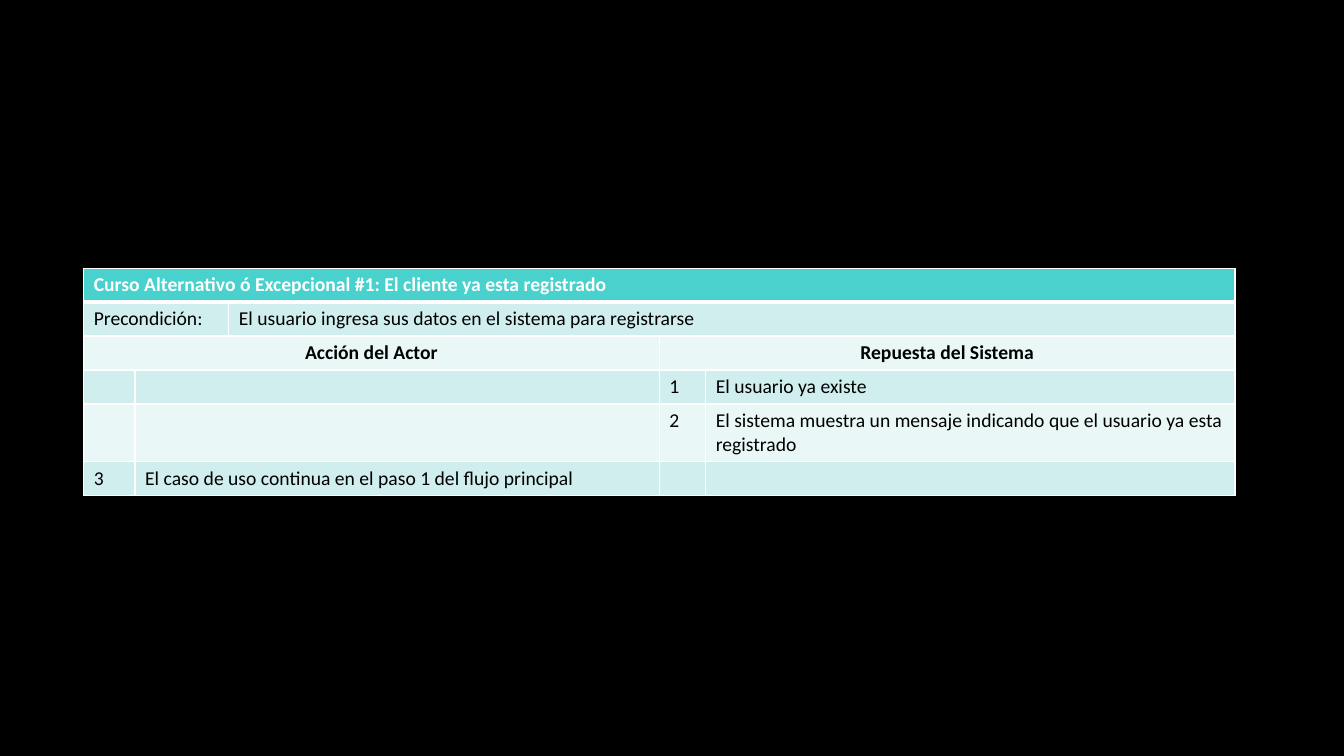
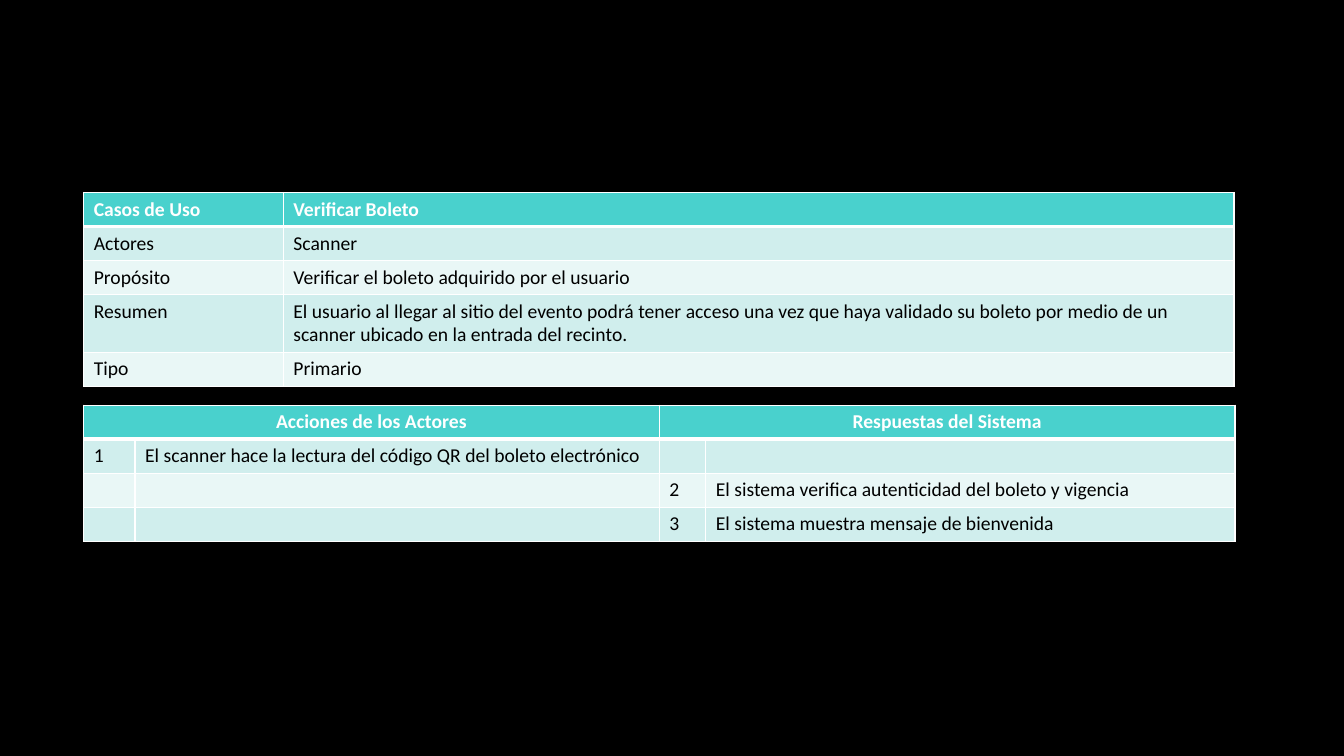
from lxml import etree
from pptx import Presentation
from pptx.dml.color import RGBColor
from pptx.enum import text
from pptx.oxml import ns
from pptx.util import Inches, Pt

# Shared style
BLACK = RGBColor(0x00, 0x00, 0x00)
WHITE = RGBColor(0xFF, 0xFF, 0xFF)
TURQUOISE = RGBColor(0x49, 0xD1, 0xCD)
BANDS = (RGBColor(0xE9, 0xF7, 0xF6), RGBColor(0xD0, 0xEE, 0xED))
FONT, SIZE = "Calibri", Pt(14)
LEFT, ROW_HEIGHT = 0.83, 0.33
THIN, THICK = Pt(1), Pt(3)

# Content: None continues the cell to its left, "" is an empty cell
COLUMN_HEADINGS = {
    "Acción del Actor", "Repuesta del Sistema",
    "Acciones de los Actores", "Respuestas del Sistema",
}
PAGES = [
    [
        dict(top=2.66, columns=(0.51, 0.93, 4.27, 0.46, 5.25), rows=[
            ("Curso Alternativo ó Excepcional #1: El cliente ya esta registrado",
             None, None, None, None),
            ("Precondición:", None,
             "El usuario ingresa sus datos en el sistema para registrarse", None, None),
            ("Acción del Actor", None, None, "Repuesta del Sistema", None),
            ("", "", None, "1", "El usuario ya existe"),
            ("", "", None, "2",
             "El sistema muestra un mensaje indicando que el usuario ya esta registrado"),
            ("3", "El caso de uso continua en el paso 1 del flujo principal", None, "", ""),
        ]),
    ],
    [
        dict(top=1.91, columns=(1.98, 9.43), rows=[
            ("Casos de Uso", "Verificar Boleto"),
            ("Actores", "Scanner"),
            ("Propósito", "Verificar el boleto adquirido por el usuario"),
            ("Resumen",
             "El usuario al llegar al sitio del evento podrá tener acceso una vez que haya "
             "validado su boleto por medio de un scanner ubicado en la entrada del recinto."),
            ("Tipo", "Primario"),
        ]),
        dict(top=4.02, columns=(0.51, 5.2, 0.46, 5.25), rows=[
            ("Acciones de los Actores", None, "Respuestas del Sistema", None),
            ("1", "El scanner hace la lectura del código QR del boleto electrónico", "", ""),
            ("", "", "2", "El sistema verifica autenticidad del boleto y vigencia"),
            ("", "", "3", "El sistema muestra mensaje de bienvenida"),
        ]),
    ],
]


def write_text(cell, wording, *, color, bold, align):
    para = cell.text_frame.paragraphs[0]
    para.alignment = align
    if wording:
        span = para.add_run()
        span.text = wording
        span.font.name, span.font.size = FONT, SIZE
        span.font.bold = bold
        span.font.color.rgb = color
    else:  # keeps an empty cell as low as a line of text
        etree.SubElement(para._p, ns.qn("a:endParaRPr"), sz=str(int(SIZE.pt * 100)))


def set_borders(cell, *, top, bottom):
    properties = cell._tc.get_or_add_tcPr()
    sides = (("lnL", THIN), ("lnR", THIN), ("lnT", top), ("lnB", bottom))
    for position, (side, width) in enumerate(sides):
        line = etree.Element(ns.qn("a:" + side), w=str(int(width)))
        fill = etree.SubElement(line, ns.qn("a:solidFill"))
        etree.SubElement(fill, ns.qn("a:srgbClr"), val=str(WHITE))
        properties.insert(position, line)


def add_case_table(page, *, top, columns, rows):
    frame = page.shapes.add_table(
        len(rows), len(columns), Inches(LEFT), Inches(top),
        Inches(sum(columns)), Inches(ROW_HEIGHT * len(rows)))
    table = frame.table
    for column, width in zip(table.columns, columns):
        column.width = Inches(width)
    for r, row in enumerate(rows):
        table.rows[r].height = Inches(ROW_HEIGHT)
        header = r == 0
        for c, wording in enumerate(row):
            cell = table.cell(r, c)
            cell.fill.solid()
            cell.fill.fore_color.rgb = TURQUOISE if header else BANDS[r % 2]
            set_borders(cell, top=THICK if r == 1 else THIN,
                        bottom=THICK if header else THIN)
            heading = wording in COLUMN_HEADINGS
            write_text(cell, wording, color=WHITE if header else BLACK,
                       bold=header or heading,
                       align=text.PP_ALIGN.CENTER if heading else text.PP_ALIGN.LEFT)
        # Merge each cell with the None entries that follow it
        starts = [c for c, wording in enumerate(row) if wording is not None]
        for start, end in zip(starts, starts[1:] + [len(row)]):
            if end - start > 1:
                table.cell(r, start).merge(table.cell(r, end - 1))


def main():
    deck = Presentation()
    deck.slide_width, deck.slide_height = Inches(13.33), Inches(7.5)
    background = deck.slide_master.background.fill
    background.solid()
    background.fore_color.rgb = BLACK
    for tables in PAGES:
        page = deck.slides.add_slide(deck.slide_layouts[6])
        for table in tables:
            add_case_table(page, **table)
    deck.save("out.pptx")


if __name__ == "__main__":
    main()
